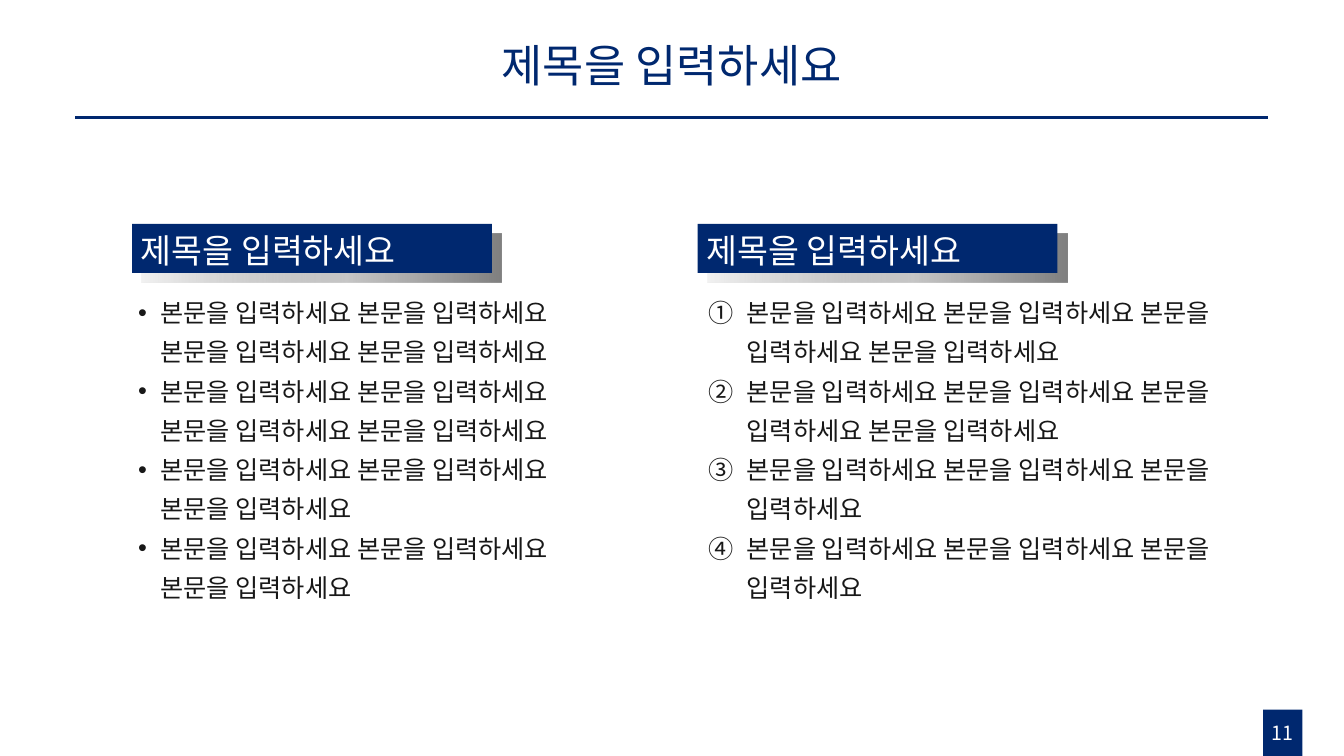
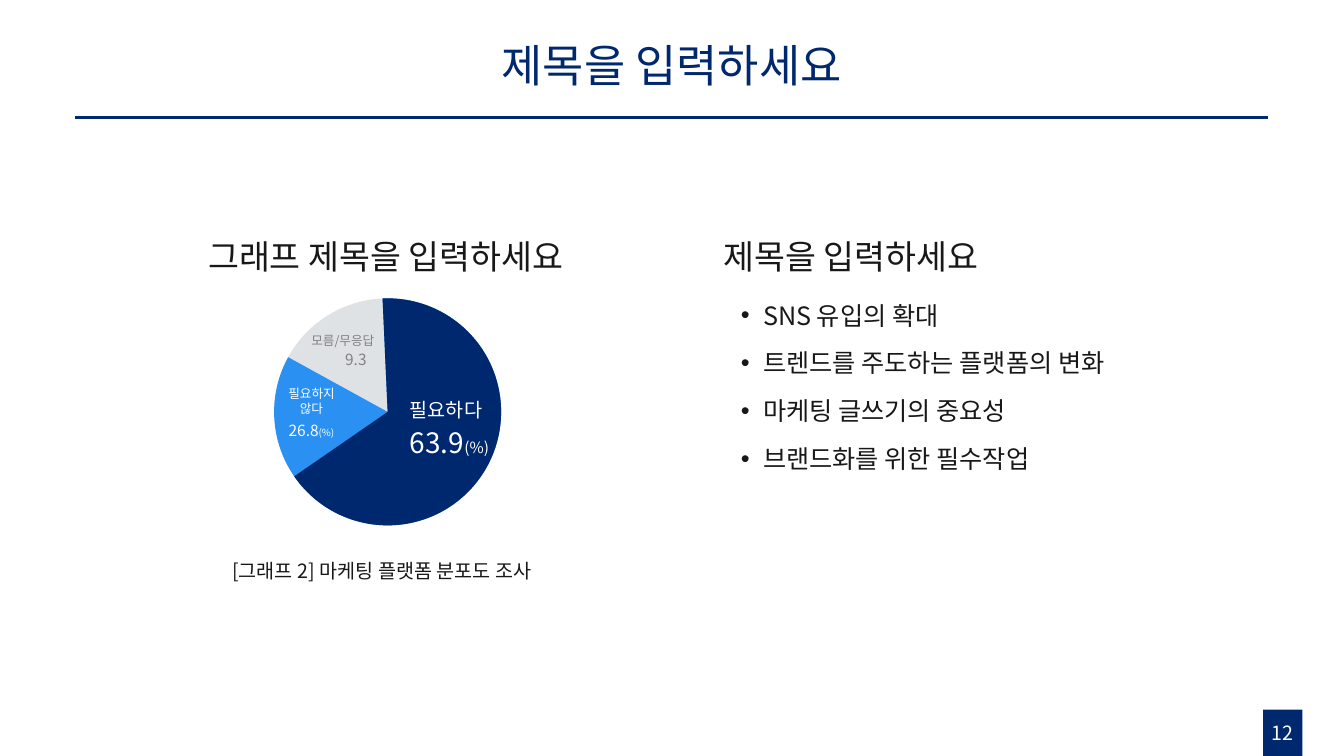
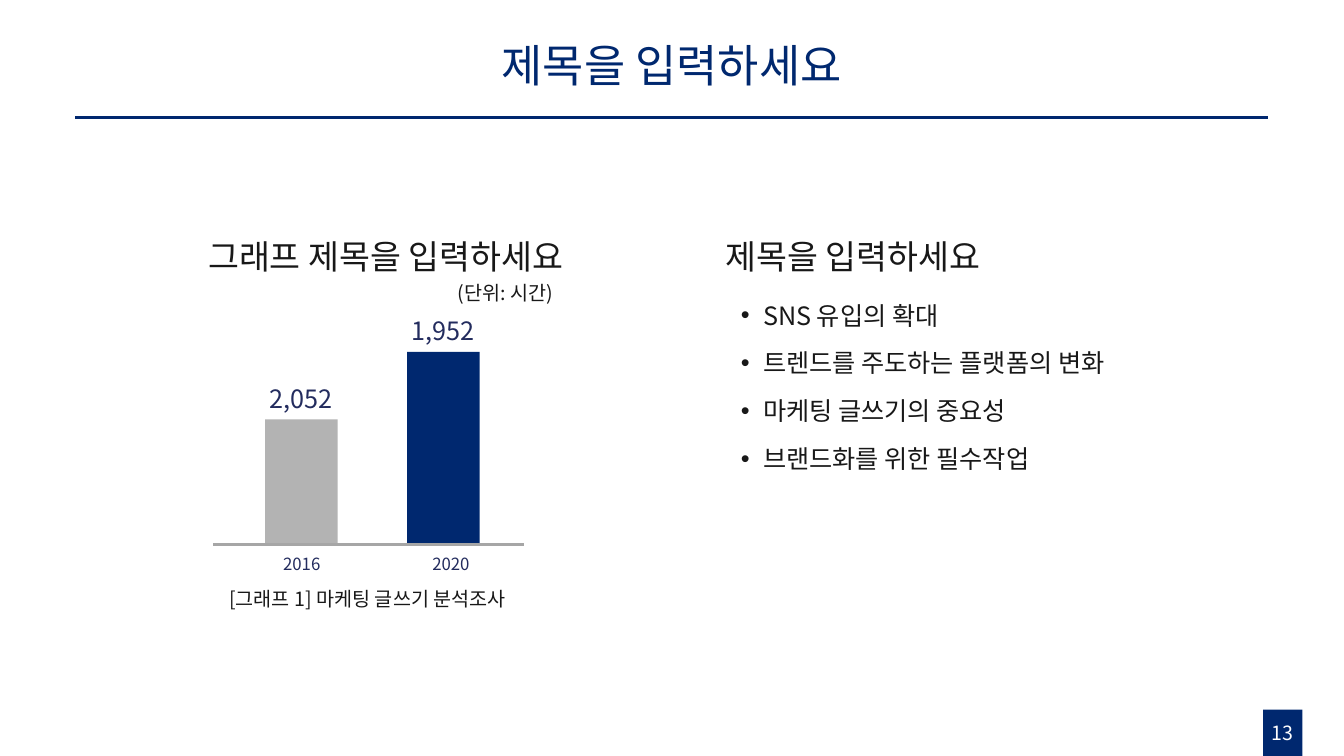
"""Build three Korean template slides: two lists, a pie and a bar graph."""
import dataclasses

import lxml.etree
import pptx
import pptx.dml.color
import pptx.enum.shapes
import pptx.enum.text
import pptx.oxml.ns
import pptx.util

Cm = pptx.util.Cm
Pt = pptx.util.Pt
qn = pptx.oxml.ns.qn
Shape = pptx.enum.shapes.MSO_SHAPE
Align = pptx.enum.text.PP_ALIGN
Anchor = pptx.enum.text.MSO_ANCHOR
Fit = pptx.enum.text.MSO_AUTO_SIZE


@dataclasses.dataclass(frozen=True)
class Theme:
    font: str = "Noto Sans CJK KR"
    navy: str = "00286F"
    blue: str = "2A90F1"
    pale: str = "DFE2E5"
    ink: str = "181818"
    deep: str = "232C5E"
    white: str = "FFFFFF"
    gray: str = "808080"
    silver: str = "B3B3B3"
    rule: str = "A6A6A6"
    fade: tuple = ((0, "808080", 10), (57, "BFBFBF", 88), (100, "808080", 100))
    title: int = 32
    head: int = 24
    body: int = 18
    note: int = 14
    year: int = 12


T = Theme()
WIDE, HIGH = 33.87, 19.05
TITLE = "제목을 입력하세요"
GRAPH = "그래프 제목을 입력하세요"
BODY = "본문을 입력하세요"
FIRST = 11

LISTS = [
    {"band": 3.33, "box": (3.0, 7.14, 12.67, 8.31), "mark": "•", "hang": (0.79, 0.56)},
    {"band": 17.58, "box": (17.6, 7.14, 13.26, 8.31), "mark": None, "hang": (0.97, 0.97)},
]
COUNTS = (4, 4, 3, 3)
POINTS = ["SNS 유입의 확대", "트렌드를 주도하는 플랫폼의 변화",
          "마케팅 글쓰기의 중요성", "브랜드화를 위한 필수작업"]

PIE = (6.91, 7.52, 5.72, 5.72)
START = 267.45
SLICES = [(T.pale, 267.4), (T.blue, 208.79), (T.navy, 145.38)]
LABELS = [
    ((10.08, 9.91, 3.0, 0.86), ["필요하다"], 14, T.white, None, None),
    ((10.08, 10.59, 3.0, 1.12), ["63.9"], 20, T.white, None, 11),
    ((6.35, 9.6, 3.0, 1.02), ["필요하지", "않다"], 9, T.white, Align.CENTER, None),
    ((6.35, 10.49, 3.0, 0.74), ["26.8"], 11, T.white, Align.CENTER, 7),
    ((7.42, 8.26, 2.44, 0.64), ["모름/무응답"], 9, T.gray, Align.CENTER, None),
    ((8.13, 8.71, 1.68, 0.74), ["9.3"], 11, T.gray, Align.CENTER, None),
]

BASE, THICK, TAG = 13.72, 1.83, 3.63
BARS = [
    {"left": 6.68, "tall": 3.15, "hue": T.silver, "value": "2,052", "year": "2016", "foot": 5.79},
    {"left": 10.26, "tall": 4.85, "hue": T.navy, "value": "1,952", "year": "2020", "foot": 9.55},
]


def rgb(hue):
    return pptx.dml.color.RGBColor.from_string(hue)


def place(box):
    return [Cm(part) for part in box]


def draw(shapes, kind, box, hue):
    shape = shapes.add_shape(kind, *place(box))
    shape.shadow.inherit = False
    shape.fill.solid()
    shape.fill.fore_color.rgb = rgb(hue)
    shape.line.fill.background()
    return shape


def fade(shape):
    shape.fill.gradient()
    shape.fill.gradient_angle = 0
    stops = next(shape._element.spPr.iter(qn("a:gsLst")))
    for old in list(stops):
        stops.remove(old)
    for pos, hue, alpha in T.fade:
        stop = lxml.etree.SubElement(stops, qn("a:gs"), pos=str(pos * 1000))
        tone = lxml.etree.SubElement(stop, qn("a:srgbClr"), val=hue)
        lxml.etree.SubElement(tone, qn("a:alpha"), val=str(alpha * 1000))


def line(shapes, left, right, top, hue, width):
    rule = shapes.add_connector(pptx.enum.shapes.MSO_CONNECTOR.STRAIGHT,
                                Cm(left), Cm(top), Cm(right), Cm(top))
    rule.line.color.rgb = rgb(hue)
    rule.line.width = Pt(width)
    lxml.etree.SubElement(rule._element.spPr, qn("a:effectLst"))


def style(run, size, hue):
    run.font.size = Pt(size)
    run.font.name = T.font
    run.font.color.rgb = rgb(hue)
    props = run._r.get_or_add_rPr()
    lxml.etree.SubElement(props, qn("a:ea"), typeface=T.font)


def write(shapes, box, lines, size, hue, align=None, lead=None, mid=False, unit=None, grow=True):
    text = shapes.add_textbox(*place(box))
    frame = text.text_frame
    frame.word_wrap = True
    frame.auto_size = Fit.SHAPE_TO_FIT_TEXT if grow else Fit.NONE
    frame.vertical_anchor = Anchor.MIDDLE if mid else Anchor.TOP
    frame.text = "\n".join(lines)
    for para in frame.paragraphs:
        para.alignment = align
        para.line_spacing = lead
        for run in para.runs:
            style(run, size, hue)
        if unit:
            tail = para.add_run()
            tail.text = "(%)"
            style(tail, unit, hue)
    return frame


def bullet(frame, mark, hang, after=None):
    for para in frame.paragraphs:
        if after:
            para.space_after = Pt(after)
        props = para._p.get_or_add_pPr()
        props.set("marL", str(Cm(hang[0])))
        props.set("indent", str(-Cm(hang[1])))
        if mark:
            lxml.etree.SubElement(props, qn("a:buFont"), typeface="Arial")
            lxml.etree.SubElement(props, qn("a:buChar"), char=mark)
        else:
            lxml.etree.SubElement(props, qn("a:buAutoNum"), type="circleNumDbPlain")


def start(deck, page):
    shapes = deck.slides.add_slide(deck.slide_layouts[6]).shapes
    line(shapes, 1.9, 31.95, 2.95, T.navy, 2.25)
    draw(shapes, Shape.RECTANGLE, (31.83, 17.88, 0.99, 1.17), T.navy)
    write(shapes, (31.47, 18.03, 1.7, 0.86), [str(page)], T.note, T.white, Align.CENTER)
    write(shapes, (6.91, 0.76, 20.04, 1.93), [TITLE], T.title, T.navy,
          Align.CENTER, 0.9, True, grow=False)
    return shapes


def banner(shapes, left):
    group = shapes.add_group_shape().shapes
    fade(draw(group, Shape.RECTANGLE, (left + 0.25, 5.89, 9.07, 1.24), T.gray))
    draw(group, Shape.RECTANGLE, (left, 5.64, 9.07, 1.24), T.navy)
    write(group, (left - 0.03, 5.38, 9.4, 1.52), [TITLE], T.head, T.white, lead=1.3, mid=True)


def lists(shapes):
    for item in LISTS:
        lines = [" ".join([BODY] * count) for count in COUNTS]
        frame = write(shapes, item["box"], lines, T.body, T.ink, lead=1.3)
        bullet(frame, item["mark"], item["hang"])
        banner(shapes, item["band"])


def frame(shapes, left, note, spot):
    write(shapes, (4.22, 5.54, 11.0, 1.52), [GRAPH], T.head, T.ink, Align.CENTER, 1.3, True)
    write(shapes, (left, 5.54, 9.4, 1.52), [TITLE], T.head, T.ink, lead=1.3, mid=True)
    points = write(shapes, (18.19, 7.21, 12.62, 4.85), POINTS, T.body, T.ink, lead=1.3)
    bullet(points, "•", (0.79, 0.56), 6)
    write(shapes, (*spot, 9.75, 0.99), [note], T.note, T.ink, Align.CENTER, 1.3)


def pie(shapes):
    for hue, end in SLICES:
        slice = draw(shapes, Shape.PIE, PIE, hue)
        for index, angle in enumerate((START, end)):
            slice.adjustments[index] = angle * 0.6
    for box, lines, size, hue, align, unit in LABELS:
        write(shapes, box, lines, size, hue, align, unit=unit)
    frame(shapes, 17.98, "[그래프 2] 마케팅 플랫폼 분포도 조사", (4.75, 13.77))


def bars(shapes):
    for bar in BARS:
        top = BASE - bar["tall"]
        draw(shapes, Shape.RECTANGLE, (bar["left"], top, THICK, bar["tall"]), bar["hue"])
        middle = bar["left"] + THICK / 2 - TAG / 2
        write(shapes, (middle, top - 1.04, TAG, 1.02), [bar["value"]],
              T.body, T.deep, Align.CENTER)
        write(shapes, (bar["foot"], 13.83, TAG, 0.76), [bar["year"]],
              T.year, T.deep, Align.CENTER)
    line(shapes, 5.38, 13.21, BASE, T.rule, 1.5)
    write(shapes, (10.92, 6.78, TAG, 0.99), ["(단위: 시간)"], T.note, T.ink, Align.CENTER, 1.3)
    frame(shapes, 18.03, "[그래프 1] 마케팅 글쓰기 분석조사", (4.39, 14.5))


def main():
    deck = pptx.Presentation()
    deck.slide_width, deck.slide_height = Cm(WIDE), Cm(HIGH)
    for page, fill in enumerate((lists, pie, bars), FIRST):
        fill(start(deck, page))
    deck.save("out.pptx")


if __name__ == "__main__":
    main()
